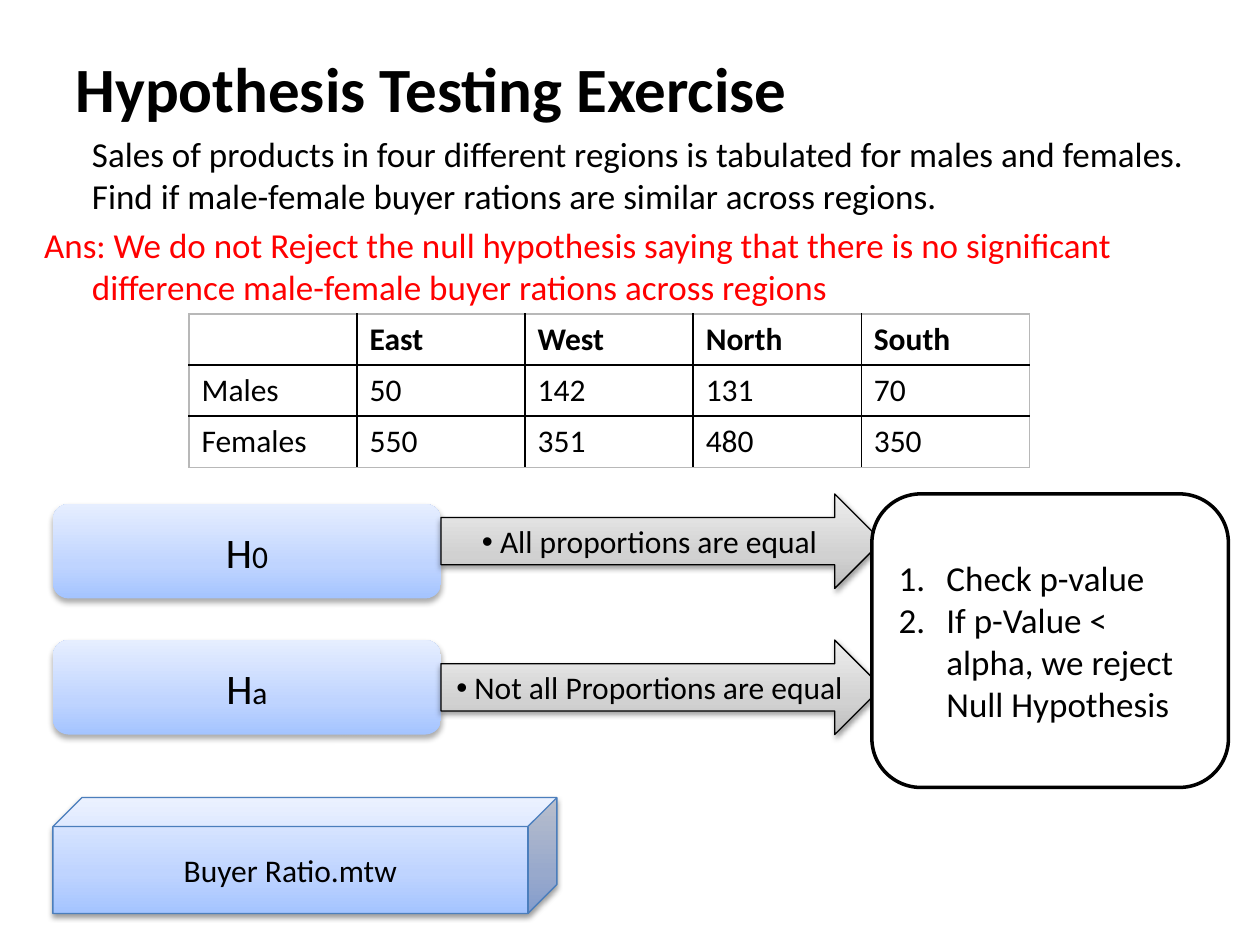
from lxml import etree
from pptx import Presentation
from pptx.dml.color import RGBColor
from pptx.enum.shapes import MSO_SHAPE
from pptx.enum.text import MSO_ANCHOR, MSO_AUTO_SIZE, PP_ALIGN
from pptx.oxml.ns import qn
from pptx.util import Inches, Pt

LEFT, CENTER = PP_ALIGN.LEFT, PP_ALIGN.CENTER
TOP, MIDDLE = MSO_ANCHOR.TOP, MSO_ANCHOR.MIDDLE
ROUNDED, ARROW, CUBE = MSO_SHAPE.ROUNDED_RECTANGLE, MSO_SHAPE.RIGHT_ARROW, MSO_SHAPE.CUBE
NO_AUTOFIT = MSO_AUTO_SIZE.NONE
FONT = "Calibri"
COLORS = {"black": "000000", "white": "FFFFFF", "red": "FF0000",
          "edge": "4B7EBC", "frame": "B8B8B8"}
GRADIENTS = {"blue": ((0, "A4C4FF"), (35, "BFD4FF"), (100, "E6EEFF")),
             "gray": ((0, "BDBDBD"), (35, "D1D1D1"), (100, "EEEEEE"))}
SOFT_SHADOW, EDGE_SHADOW = (32, 3.5, 2.2), (38, 3.1, 1.6)
SALES = (("", "East", "West", "North", "South"),
         ("Males", "50", "142", "131", "70"),
         ("Females", "550", "351", "480", "350"))


def child(parent, tag, **attributes):
    values = {key: str(value) for key, value in attributes.items()}
    return etree.SubElement(parent, qn(tag), values)


def style_runs(para, size, color="black", bold=False):
    for span in para.runs:
        span.font.name = FONT
        span.font.size = Pt(size)
        span.font.bold = bold
        span.font.color.rgb = RGBColor.from_string(COLORS[color])


def set_indent(para, left, first, marker, **attributes):
    properties = para._p.get_or_add_pPr()
    properties.set("marL", str(Inches(left)))
    properties.set("indent", str(Inches(first)))
    child(properties, marker, **attributes)


def move(item, box):
    item.left, item.top, item.width, item.height = [Inches(value) for value in box]


def add_heading(page, box):
    title = page.shapes.title
    move(title, box)
    frame = title.text_frame
    frame.text = "Hypothesis Testing Exercise"
    frame.vertical_anchor = MIDDLE
    frame.auto_size = NO_AUTOFIT
    frame.paragraphs[0].alignment = LEFT
    style_runs(frame.paragraphs[0], 36, bold=True)


def add_question(page, box):
    body = page.placeholders[1]
    move(body, box)
    frame = body.text_frame
    frame.text = ("Sales of products in four different regions is tabulated for males and "
                  "females. Find if male-female buyer rations are similar across regions.\n"
                  "Ans: We do not Reject the null hypothesis saying that there is no "
                  "significant difference male-female buyer rations across regions")
    frame.vertical_anchor = TOP
    frame.auto_size = NO_AUTOFIT
    for para, first, color in zip(frame.paragraphs, (0, -0.38), ("black", "red")):
        para.space_before = Pt(4)
        set_indent(para, 0.38, first, "a:buNone")
        style_runs(para, 20, color)


def add_border(cell, side, color):
    line = child(cell._tc.get_or_add_tcPr(), f"a:ln{side}", w=Pt(1))
    child(child(line, "a:solidFill"), "a:srgbClr", val=COLORS[color])


def add_sales_table(page, box):
    rows, columns = len(SALES), len(SALES[0])
    table = page.shapes.add_table(rows, columns, *[Inches(value) for value in box]).table
    for row, values in enumerate(SALES):
        for column, value in enumerate(values):
            cell = table.cell(row, column)
            cell.text = value
            style_runs(cell.text_frame.paragraphs[0], 18, bold=row == 0)
            outer = {"L": column == 0, "R": column == columns - 1,
                     "T": row == 0, "B": row == rows - 1}
            for side, is_outer in outer.items():
                add_border(cell, side, "frame" if is_outer else "black")
            cell.fill.background()


def add_panel(page, kind, box, gradient=None, line=None, width=0.75, shadow=None):
    panel = page.shapes.add_shape(kind, *[Inches(value) for value in box])
    panel.shadow.inherit = False
    if gradient:
        panel.fill.gradient()
        panel.fill.gradient_angle = 90
        stops = panel._element.spPr.find(qn("a:gradFill")).find(qn("a:gsLst"))
        for stop in list(stops):
            stops.remove(stop)
        for place, color in GRADIENTS[gradient]:
            child(child(stops, "a:gs", pos=place * 1000), "a:srgbClr", val=color)
    else:
        panel.fill.solid()
        panel.fill.fore_color.rgb = RGBColor.from_string(COLORS["white"])
    if line:
        panel.line.color.rgb = RGBColor.from_string(COLORS[line])
        panel.line.width = Pt(width)
    else:
        panel.line.fill.background()
    if shadow:
        alpha, blur, distance = shadow
        effects = panel._element.spPr.find(qn("a:effectLst"))
        outer = child(effects, "a:outerShdw", blurRad=Pt(blur), dist=Pt(distance),
                      dir=5400000, rotWithShape=0)
        child(child(outer, "a:srgbClr", val=COLORS["black"]), "a:alpha", val=alpha * 1000)
    panel.text_frame.word_wrap = True
    panel.text_frame.vertical_anchor = MIDDLE
    return panel


def add_hypothesis(page, box, mark):
    panel = add_panel(page, ROUNDED, box, "blue", shadow=SOFT_SHADOW)
    para = panel.text_frame.paragraphs[0]
    para.alignment = CENTER
    for text in ("H", mark):
        para.add_run().text = text
    style_runs(para, 24)
    para.runs[1].font.size = Pt(18)


def add_statement(page, box, text):
    arrow = add_panel(page, ARROW, box, "gray", "black", shadow=EDGE_SHADOW)
    para = arrow.text_frame.paragraphs[0]
    para.text = text
    para.alignment = CENTER
    set_indent(para, 0, 0, "a:buFont", typeface="Arial")
    child(para._p.get_or_add_pPr(), "a:buChar", char="•")
    style_runs(para, 18)


def add_steps(page, box):
    frame = add_panel(page, ROUNDED, box, line="black", width=2).text_frame
    frame.text = "Check p-value\nIf p-Value < alpha, we reject Null Hypothesis"
    for para in frame.paragraphs:
        para.alignment = LEFT
        set_indent(para, 0.38, -0.38, "a:buAutoNum", type="arabicPeriod")
        style_runs(para, 20)


def add_data_file(page, box):
    cube = add_panel(page, CUBE, box, "blue", "edge", shadow=EDGE_SHADOW)
    para = cube.text_frame.paragraphs[0]
    para.text = "Buyer Ratio.mtw"
    para.alignment = CENTER
    style_runs(para, 18)


deck = Presentation()
deck.slide_width, deck.slide_height = Inches(10), Inches(7.5)
page = deck.slides.add_slide(deck.slide_layouts[1])
add_heading(page, (0.5, 0.3, 9, 0.78))
add_question(page, (0.25, 1, 9.58, 6.25))
add_sales_table(page, (1.5, 2.49, 6.67, 1.22))
for top, mark in ((4, "0"), (5.08, "a")):
    add_hypothesis(page, (0.42, top, 3.08, 0.75), mark)
for top, text in ((3.92, " All proportions are equal"),
                  (5.08, " Not all Proportions are equal")):
    add_statement(page, (3.5, top, 3.5, 0.75), text)
add_steps(page, (6.92, 3.92, 2.83, 2.33))
add_data_file(page, (0.42, 6.33, 4, 0.92))
deck.save("out.pptx")
